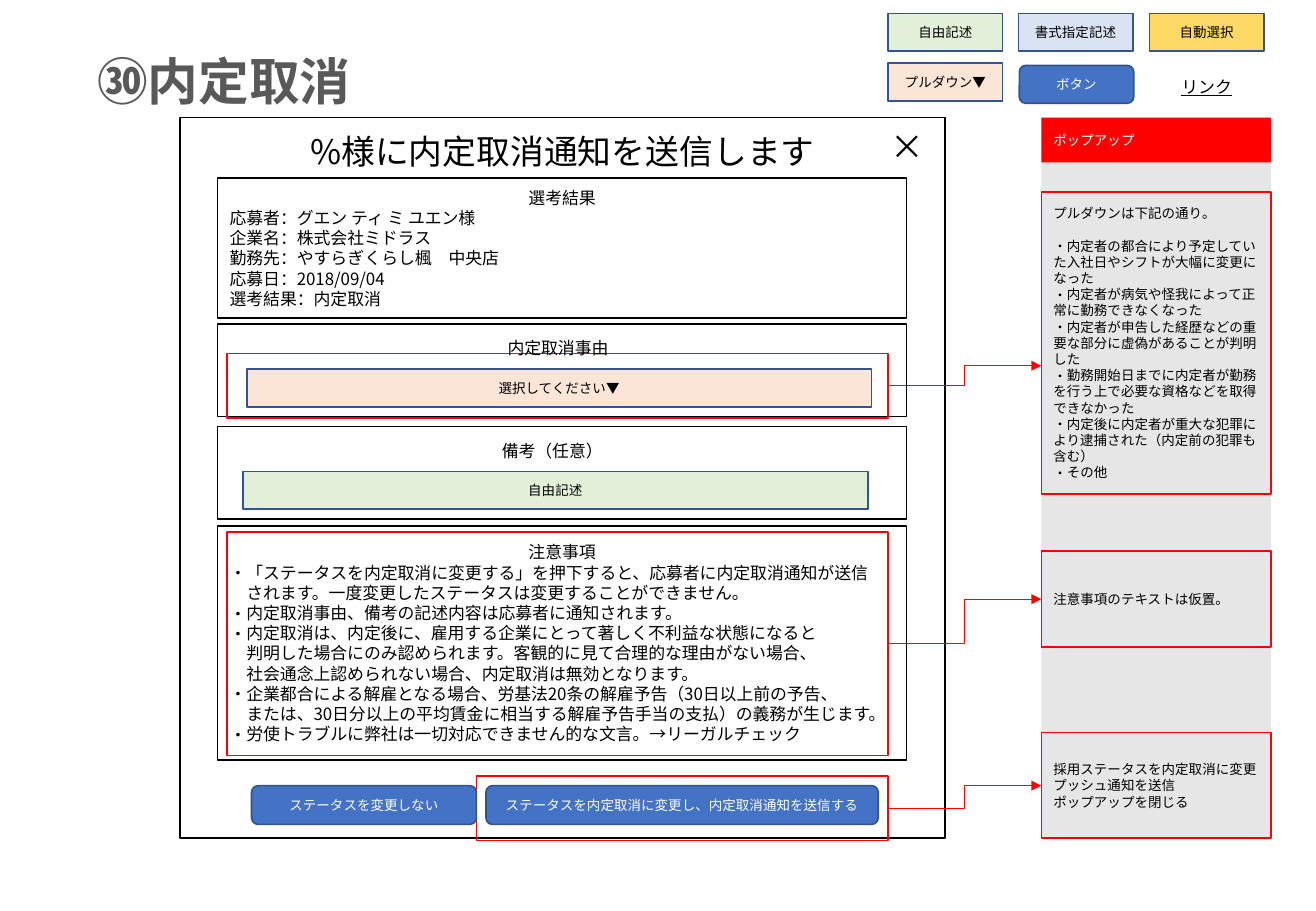
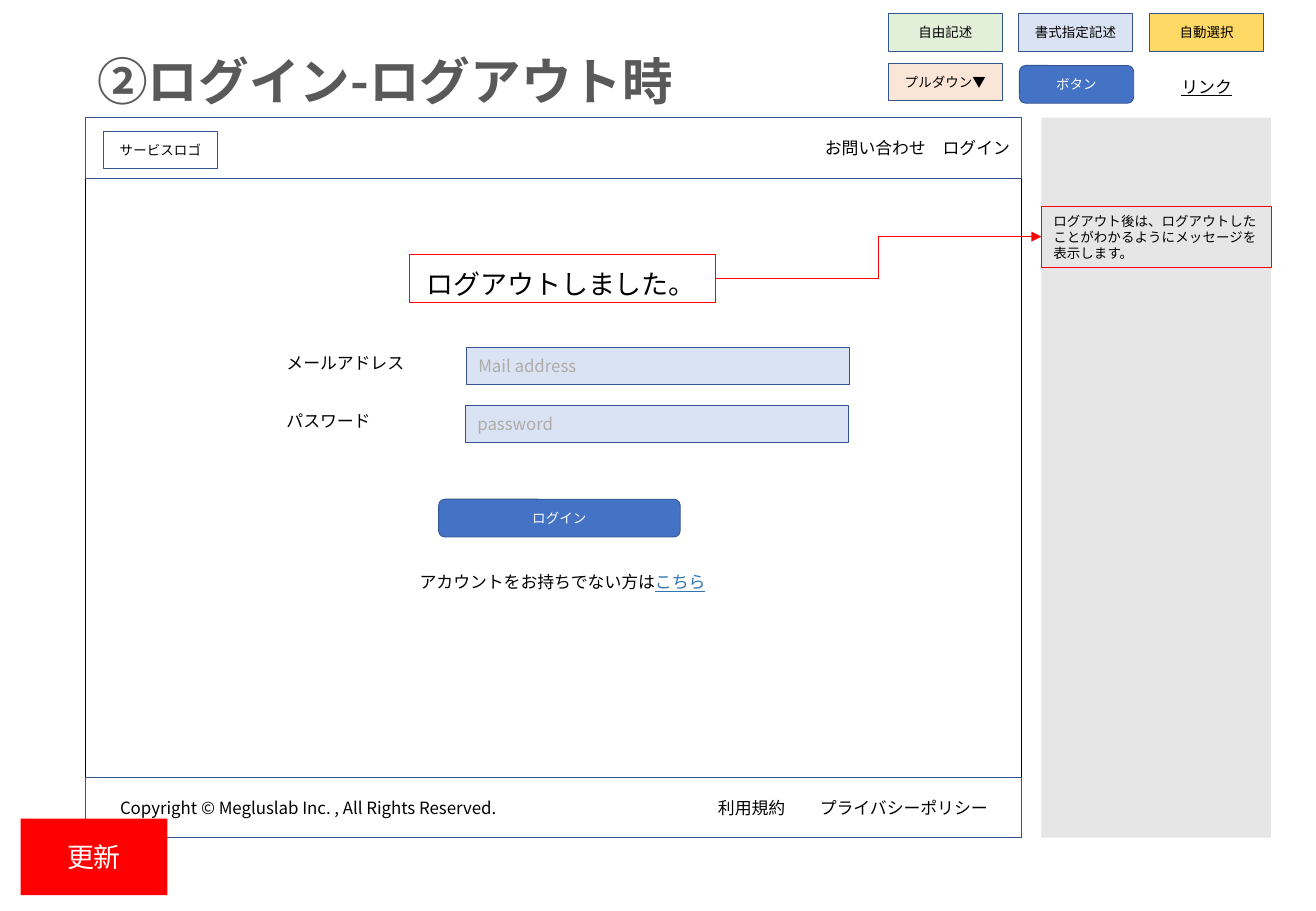
from lxml.etree import SubElement
from pptx import Presentation
from pptx.dml.color import RGBColor
from pptx.enum.shapes import MSO_CONNECTOR, MSO_SHAPE
from pptx.enum.text import MSO_ANCHOR, PP_ALIGN
from pptx.oxml.ns import qn
from pptx.util import Cm, Pt

FONT = "Noto Sans CJK JP"
BLACK, WHITE, RED, NAVY = "000000", "FFFFFF", "FF0000", "325491"
BLUE, PALE, GREEN = "4472C4", "DAE3F3", "E2F0D9"
PEACH, GOLD, GRAY = "FBE5D6", "FFD966", "E7E6E6"
LEFT, MID, RIGHT = PP_ALIGN.LEFT, PP_ALIGN.CENTER, PP_ALIGN.RIGHT
SIDE, TOP, WIDE, TALL = 21.77, 2.46, 4.8, 15.06
EDGE = 18.57


def paint(target, color):
    target.rgb = RGBColor.from_string(color)


def place(item, x, y, w, h):
    item.left, item.top, item.width, item.height = map(Cm, (x, y, w, h))


class Deck:
    def __init__(self):
        self.prs = Presentation()
        self.prs.slide_width, self.prs.slide_height = Cm(27.51), Cm(19.05)
        self.slide = None
        self.line = 1

    def page(self, title, line):
        layout = self.prs.slide_layouts[5]
        self.slide = self.prs.slides.add_slide(layout)
        self.line = line
        head = self.slide.shapes.title
        place(head, 1.78, 0.91, 23.85, 1.55)
        head.text_frame.vertical_anchor = MSO_ANCHOR.TOP
        self.put(head.text_frame, [title], 30, "595959", LEFT, bold=True)
        self.legend()
        self.box(SIDE, TOP, WIDE, TALL, fill=GRAY, edge=None)

    def legend(self):
        keys = [("自由記述", 18.57, 0.28, GREEN), ("書式指定記述", 21.29, 0.28, PALE),
                ("自動選択", 24.03, 0.28, GOLD), ("プルダウン▼", 18.57, 1.32, PEACH)]
        for text, x, y, fill in keys:
            self.field(text, x, y, 2.39, fill)
        self.button("ボタン", 21.31, 1.37, 2.39, 0.79)
        link = self.label("リンク", 24.03, 1.47, 2.39, align=MID)
        link.font.underline = True

    def put(self, frame, lines, size, color, align, first=None, hang=0, bold=False):
        frame.word_wrap = True
        for i, line in enumerate(lines):
            para = frame.paragraphs[0] if i == 0 else frame.add_paragraph()
            para.text = line.removeprefix("・")
            para.alignment = first if i == 0 and first else align
            para.line_spacing = Pt(size * 1.2)
            if line.startswith("・"):
                self.bullet(para, hang)
            self.style(para, size, color, bold)
        return frame.paragraphs[0]

    def style(self, para, size, color, bold):
        font = para.font
        font.name, font.size, font.bold = FONT, Pt(size), bold
        paint(font.color, color)
        props = para._p.get_or_add_pPr().find(qn("a:defRPr"))
        latin = props.find(qn("a:latin"))
        latin.addnext(SubElement(props, qn("a:ea"), typeface=FONT))

    def bullet(self, para, hang):
        props = para._p.get_or_add_pPr()
        props.set("marL", str(Cm(hang)))
        props.set("indent", str(-Cm(hang)))
        SubElement(props, qn("a:buFont"), typeface=FONT)
        SubElement(props, qn("a:buChar"), char="・")

    def box(self, x, y, w, h, lines=(), fill=None, edge=BLACK, size=8, color=BLACK,
            align=MID, kind=MSO_SHAPE.RECTANGLE, **more):
        item = self.slide.shapes.add_shape(kind, *map(Cm, (x, y, w, h)))
        item.shadow.inherit = False
        if fill:
            item.fill.solid()
            paint(item.fill.fore_color, fill)
        else:
            item.fill.background()
        if edge:
            paint(item.line.color, edge)
            item.line.width = Pt(self.line)
        else:
            item.line.fill.background()
        frame = item.text_frame
        frame.vertical_anchor = MSO_ANCHOR.MIDDLE
        if lines:
            self.put(frame, lines, size, color, align, **more)
        return item

    def field(self, text, x, y, w, fill, **more):
        self.box(x, y, w, 0.79, [text], fill, NAVY, **more)

    def button(self, text, x, y, w, h):
        self.box(x, y, w, h, [text], BLUE, NAVY, color=WHITE,
                 kind=MSO_SHAPE.ROUNDED_RECTANGLE)

    def note(self, y, h, lines):
        item = self.box(SIDE, y, WIDE, h, lines, edge=RED, align=LEFT)
        return item.text_frame

    def label(self, text, x, y, w, h=0.69, size=10, align=LEFT):
        item = self.slide.shapes.add_textbox(*map(Cm, (x, y, w, h)))
        return self.put(item.text_frame, [text], size, BLACK, align)

    def arrow(self, x, start, end):
        spots = map(Cm, (x, start, SIDE, end))
        item = self.slide.shapes.add_connector(MSO_CONNECTOR.ELBOW, *spots)
        paint(item.line.color, RED)
        item.line.width = Pt(0.5)
        props = item._element.spPr
        SubElement(props.find(qn("a:ln")), qn("a:tailEnd"), type="triangle")
        SubElement(props, qn("a:effectLst"))

    def footer(self, x, y, w, h, parts, stops):
        item = self.box(x, y, w, h, edge=NAVY)
        frame = item.text_frame
        frame.margin_left = Cm(0.73)
        para = frame.paragraphs[0]
        para.line_spacing = Pt(12)
        tabs = SubElement(para._p.get_or_add_pPr(), qn("a:tabLst"))
        for stop in stops:
            SubElement(tabs, qn("a:tab"), pos=str(Cm(stop)), algn="l")
        self.put(frame, ["\t".join(parts)], 10, BLACK, LEFT)


def cancel(deck):
    deck.page("㉚内定取消", 1)
    deck.box(3.76, TOP, 16, TALL)
    deck.label("%様に内定取消通知を送信します", 3.76, 2.62, 16, 1.12, 20, MID)
    deck.label("×", 18.16, 2.51, 1.6, 1.12, 20, MID)
    deck.box(SIDE, TOP, WIDE, 0.94, ["ポップアップ"], RED, None, color=WHITE, align=LEFT)

    result = ["選考結果", "応募者：グエン ティ ミ ユエン様", "企業名：株式会社ミドラス",
              "勤務先：やすらぎくらし楓　中央店", "応募日：2018/09/04", "選考結果：内定取消"]
    terms = [
        "注意事項",
        "・「ステータスを内定取消に変更する」を押下すると、応募者に内定取消通知が送信\v"
        "されます。一度変更したステータスは変更することができません。",
        "・内定取消事由、備考の記述内容は応募者に通知されます。",
        "・内定取消は、内定後に、雇用する企業にとって著しく不利益な状態になると\v"
        "判明した場合にのみ認められます。客観的に見て合理的な理由がない場合、\v"
        "社会通念上認められない場合、内定取消は無効となります。",
        "・企業都合による解雇となる場合、労基法20条の解雇予告（30日以上前の予告、\v"
        "または、30日分以上の平均賃金に相当する解雇予告手当の支払）の義務が生じます。",
        "・労使トラブルに弊社は一切対応できません的な文言。→リーガルチェック",
    ]
    for y, h, lines in [(3.73, 2.92, result), (6.78, 1.93, ()),
                        (8.92, 1.93, ()), (11, 4.9, terms)]:
        deck.box(4.55, y, 14.4, h, lines, size=10, align=LEFT, first=MID, hang=0.35)

    for x, y, w, h in [(4.75, 7.39, 13.82, 1.35), (4.75, 11.13, 13.82, 4.67),
                       (9.96, 16.23, 8.61, 1.35)]:
        deck.box(x, y, w, h, edge=RED)
    deck.label("内定取消事由", 10.36, 6.93, 3)
    deck.field("選択してください▼", 5.16, 7.72, 13.06, PEACH)
    deck.label("備考（任意）", 10.24, 9.09, 3)
    deck.field("自由記述", 5.08, 9.86, 13.06, GREEN)
    deck.button("ステータスを変更しない", 5.26, 16.43, 4.7, 0.81)
    deck.button("ステータスを内定取消に変更し、内定取消通知を送信する", 10.16, 16.43, 8.2, 0.81)

    menu = deck.note(4.01, 6.32, [
        "プルダウンは下記の通り。",
        "・内定者の都合により予定していた入社日やシフトが大幅に変更になった",
        "・内定者が病気や怪我によって正常に勤務できなくなった",
        "・内定者が申告した経歴などの重要な部分に虚偽があることが判明した",
        "・勤務開始日までに内定者が勤務を行う上で必要な資格などを取得できなかった",
        "・内定後に内定者が重大な犯罪により逮捕された（内定前の犯罪も含む）",
        "・その他",
    ])
    menu.paragraphs[0].space_after = Pt(9.6)
    deck.note(11.53, 2, ["注意事項のテキストは仮置。"])
    deck.note(15.32, 2.21, ["採用ステータスを内定取消に変更", "プッシュ通知を送信",
                            "ポップアップを閉じる"])
    for start, end in [(8.07, 7.65), (13.46, 12.53), (16.91, 16.43)]:
        deck.arrow(EDGE, start, end)


def logout(deck):
    deck.page("②ログイン-ログアウト時", 0.5)
    deck.box(1.78, TOP, 19.58, TALL)
    deck.box(1.78, TOP, 19.58, 1.27, ["お問い合わせ　ログイン"], edge=NAVY,
             size=10, align=RIGHT)
    deck.footer(1.78, 16.25, 19.58, 1.27,
                ["Copyright © Megluslab Inc. , All Rights Reserved.", "利用規約",
                 "プライバシーポリシー"], (12.5, 14.63))
    deck.field("サービスロゴ", 2.16, 2.74, 2.39, None)
    deck.label("ログアウトしました。", 5.74, 5.46, 11.99, 0.94, 16, MID)
    deck.box(8.56, 5.33, 6.4, 0.99, edge=RED)
    for name, hint, x, y in [("メールアドレス", "Mail address", 9.75, 7.26),
                             ("パスワード", "password", 9.73, 8.47)]:
        deck.label(name, 5.74, y, 4)
        deck.field(hint, x, y, 8, PALE, size=10, color="AFABAB", align=LEFT)
    deck.button("ログイン", 9.17, 10.44, 5.05, 0.79)
    join = deck.label("アカウントをお持ちでない方は", 6.96, 11.84, 9.6, align=MID)
    here = join.add_run()
    here.text = "こちら"
    here.font.underline = True
    paint(here.font.color, "2E75B6")
    deck.note(4.32, 1.27, ["ログアウト後は、ログアウトしたことがわかるようにメッセージを表示します。"])
    deck.arrow(14.96, 5.83, 4.95)
    deck.box(0.43, 17.12, 3.07, 1.6, ["更新"], RED, None, size=16, color=WHITE)


def main():
    deck = Deck()
    cancel(deck)
    logout(deck)
    deck.prs.save("out.pptx")


if __name__ == "__main__":
    main()
